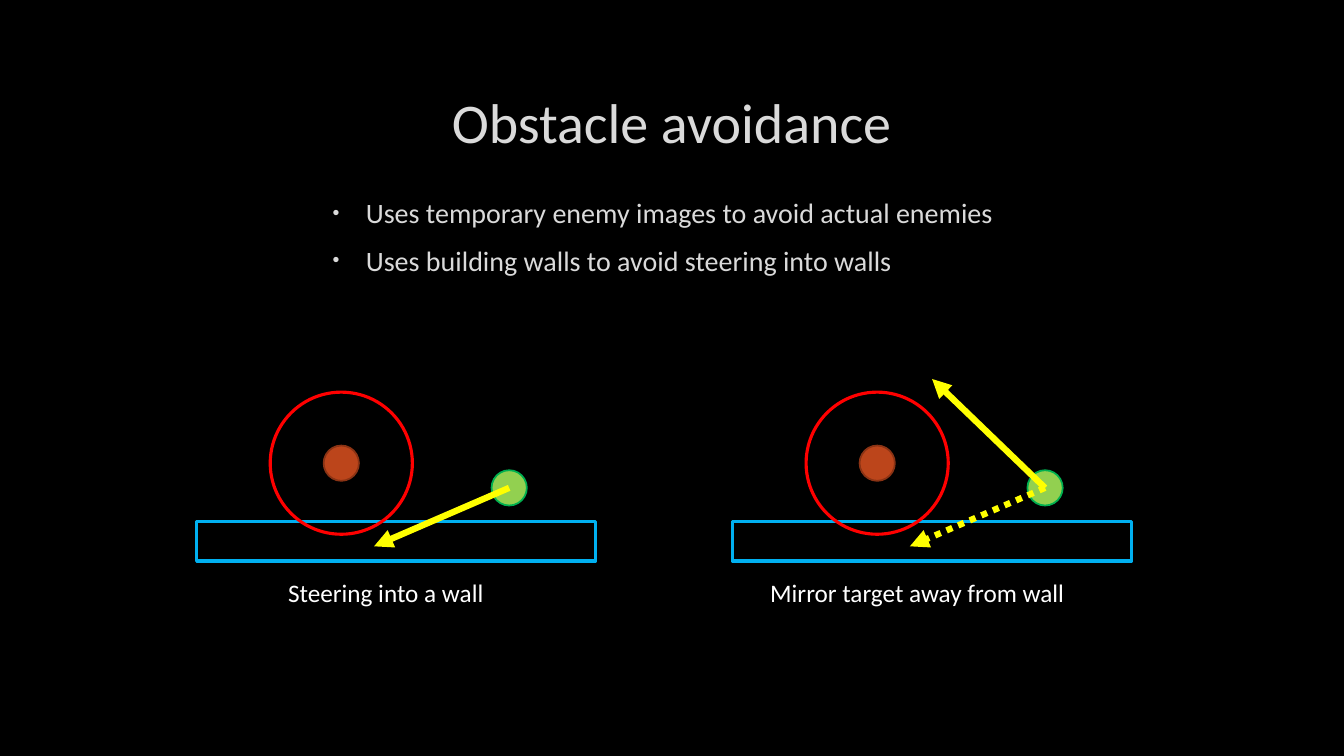
from pptx import Presentation
from pptx.dml.color import RGBColor
from pptx.enum.dml import MSO_LINE
from pptx.enum.shapes import MSO_CONNECTOR, MSO_SHAPE
from pptx.enum.text import MSO_ANCHOR, PP_ALIGN
from pptx.oxml.ns import qn
from pptx.util import Inches, Pt
from lxml import etree

RECTANGLE, OVAL = MSO_SHAPE.RECTANGLE, MSO_SHAPE.OVAL
STRAIGHT = MSO_CONNECTOR.STRAIGHT
DOTTED = MSO_LINE.ROUND_DOT
TOP, MIDDLE = MSO_ANCHOR.TOP, MSO_ANCHOR.MIDDLE
LEFT, CENTER = PP_ALIGN.LEFT, PP_ALIGN.CENTER

BLACK = RGBColor(0x00, 0x00, 0x00)
WHITE = RGBColor(0xFF, 0xFF, 0xFF)
PALE_GREY = RGBColor(0xDA, 0xDA, 0xDA)
WALL_BLUE = RGBColor(0x00, 0xB0, 0xF0)
ENEMY_RUST = RGBColor(0xBC, 0x45, 0x1B)
ENEMY_EDGE = RGBColor(0x8B, 0x33, 0x14)
RING_RED = RGBColor(0xFF, 0x00, 0x00)
AGENT_GREEN = RGBColor(0x92, 0xD0, 0x50)
AGENT_EDGE = RGBColor(0x00, 0xB0, 0x50)
ARROW_YELLOW = RGBColor(0xFF, 0xFF, 0x00)

BULLETS = (
    "Uses temporary enemy images to avoid actual enemies",
    "Uses building walls to avoid steering into walls",
)
PANEL_STEP = 53.15  # columns from one diagram to the next


class SlideBuilder:
    """Draws on one slide; lengths are columns and rows of a 0.1 inch grid."""

    font = "Calibri"
    cell = Inches(0.1)

    def __init__(self, deck):
        self.slide = deck.slides.add_slide(deck.slide_layouts[6])
        background = self.slide.background.fill
        background.solid()
        background.fore_color.rgb = BLACK

    def grid(self, *lengths):
        return [round(length * self.cell) for length in lengths]

    def text(self, place, lines, size, color, align=LEFT, anchor=TOP, bullet=False):
        box = self.slide.shapes.add_textbox(*self.grid(*place))
        frame = box.text_frame
        frame.word_wrap = True
        frame.vertical_anchor = anchor
        for index, line in enumerate(lines):
            para = frame.add_paragraph() if index else frame.paragraphs[0]
            para.alignment = align
            if bullet:
                self.bullet(para, color)
            span = para.add_run()
            span.text = line
            span.font.name = self.font
            span.font.size = Pt(size)
            span.font.color.rgb = color

    def bullet(self, para, color):
        para.space_before, para.space_after = Pt(4), Pt(6)
        properties = para._p.get_or_add_pPr()
        properties.set("marL", str(Inches(0.38)))
        properties.set("indent", str(Inches(-0.33)))
        tint = etree.SubElement(properties, qn("a:buClr"))
        etree.SubElement(tint, qn("a:srgbClr"), val=str(color))
        etree.SubElement(properties, qn("a:buSzPct"), val="70000")
        etree.SubElement(properties, qn("a:buFont"), typeface="Arial")
        etree.SubElement(properties, qn("a:buChar"), char="•")

    def shape(self, kind, place, edge, width, fill=None):
        shape = self.slide.shapes.add_shape(kind, *self.grid(*place))
        shape.shadow.inherit = False
        shape.line.color.rgb = edge
        shape.line.width = Pt(width)
        if fill is None:
            shape.fill.background()
        else:
            shape.fill.solid()
            shape.fill.fore_color.rgb = fill

    def circle(self, center, diameter, edge, width, fill=None):
        left, top = (middle - diameter / 2 for middle in center)
        self.shape(OVAL, (left, top, diameter, diameter), edge, width, fill)

    def arrow(self, start, end, dash=None):
        arrow = self.slide.shapes.add_connector(STRAIGHT, *self.grid(*start, *end))
        arrow.line.color.rgb = ARROW_YELLOW
        arrow.line.width = Pt(4.5)
        if dash is not None:
            arrow.line.dash_style = dash
        etree.SubElement(arrow.line._get_or_add_ln(), qn("a:tailEnd"), type="triangle")
        etree.SubElement(arrow._element.spPr, qn("a:effectLst"))

    def diagram(self, offset, arrows):
        """Wall, ringed enemy and agent, with arrows given as (target, dash)."""
        enemy = (33.85 + offset, 45.95)
        agent = (50.5 + offset, 48.4)
        self.shape(RECTANGLE, (19.5 + offset, 51.75, 39.6, 3.9), WALL_BLUE, 2.25)
        self.circle(enemy, 3.5, ENEMY_EDGE, 1.25, ENEMY_RUST)
        self.circle(enemy, 14.1, RING_RED, 2.25)
        self.circle(agent, 3.5, AGENT_EDGE, 1.25, AGENT_GREEN)
        for (column, row), dash in arrows:
            self.arrow(agent, (column + offset, row), dash)


def main():
    deck = Presentation()
    deck.slide_width, deck.slide_height = Inches(13.33), Inches(7.5)
    page = SlideBuilder(deck)
    page.text((10, 6.7, 113.2, 10.6), ["Obstacle avoidance"], 40, PALE_GREY,
              CENTER, MIDDLE)
    page.text((31.5, 18.9, 91.7, 44.4), BULLETS, 20, PALE_GREY, bullet=True)

    into_wall, mirrored = (37.1, 54.2), (39.3, 37.6)
    page.diagram(0, [(into_wall, None)])
    page.diagram(PANEL_STEP, [(into_wall, DOTTED), (mirrored, None)])
    page.text((27.6, 56.8, 28.5, 4), ["Steering into a wall"], 18, WHITE)
    page.text((75.4, 56.8, 35.9, 4), ["Mirror target away from wall"], 18, WHITE)
    deck.save("out.pptx")


if __name__ == "__main__":
    main()
